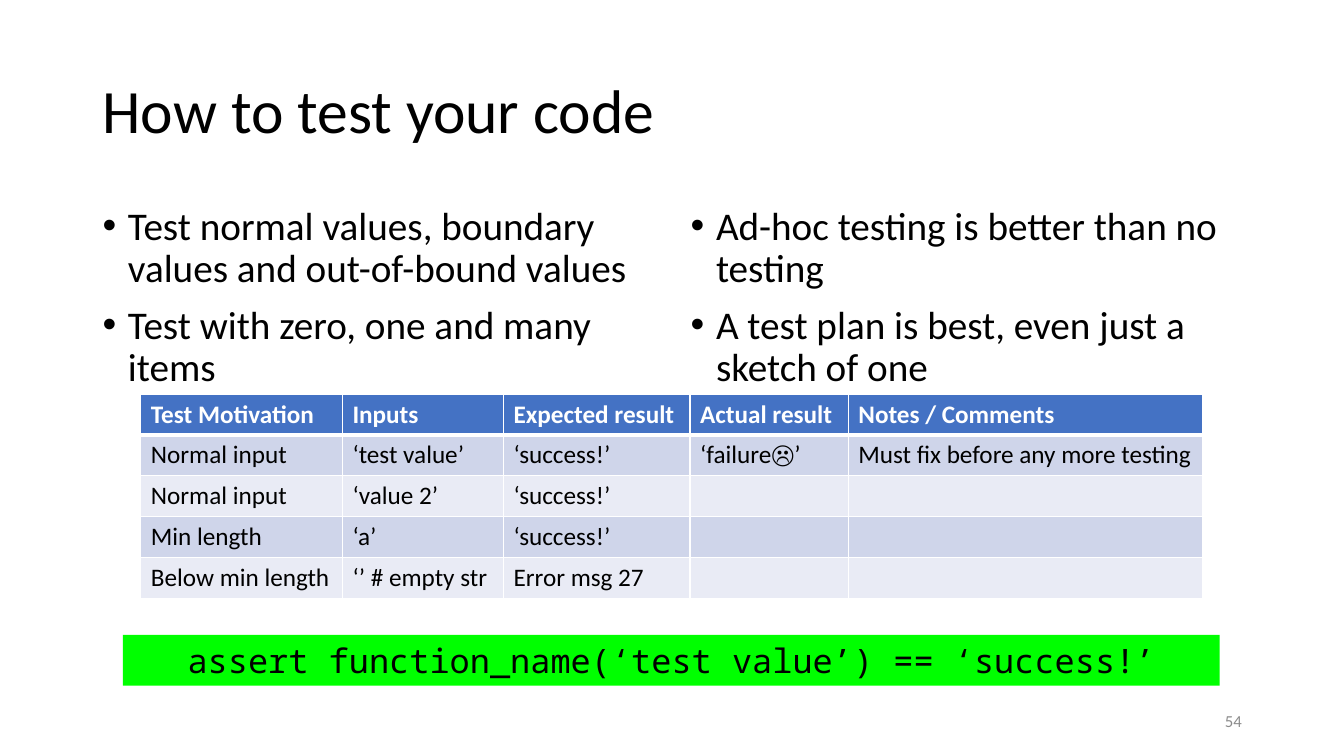
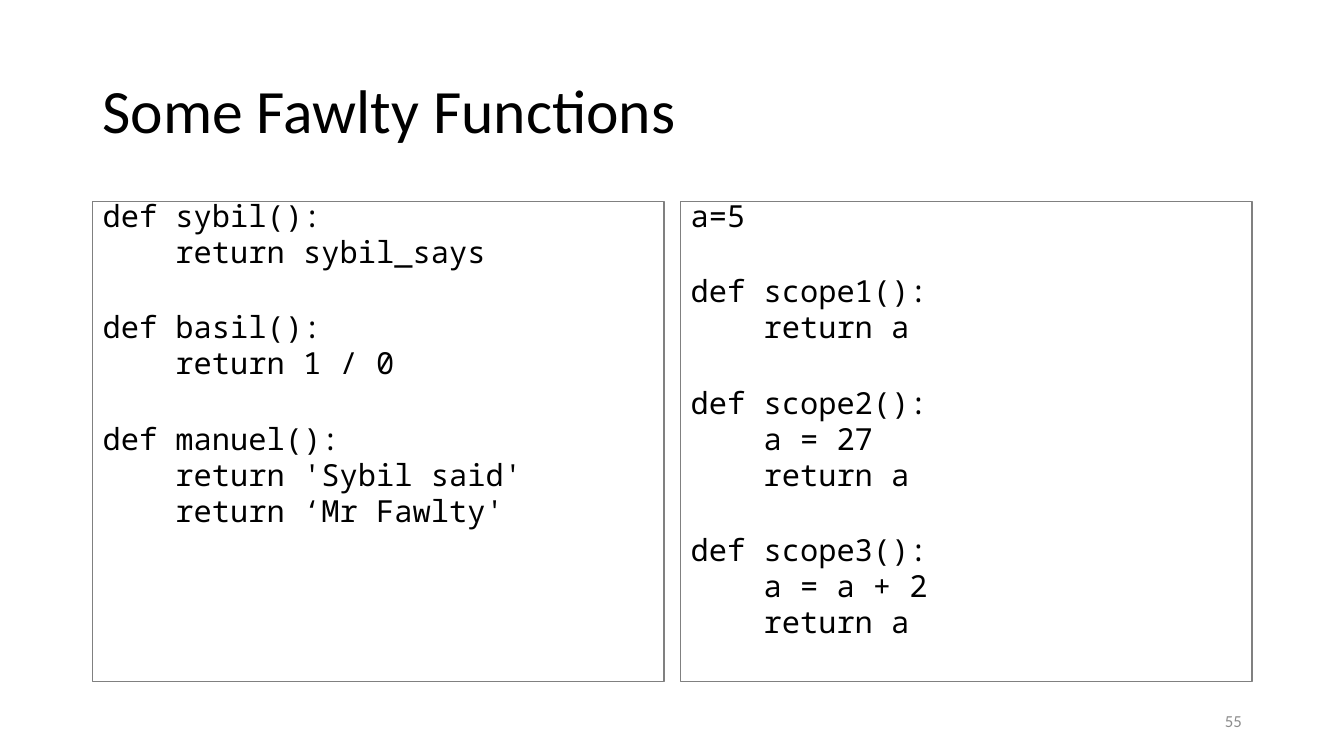
"""Build two teaching slides about testing code and faulty functions."""
from dataclasses import dataclass

from lxml.etree import SubElement
from pptx import Presentation
from pptx.dml.color import RGBColor
from pptx.enum.shapes import MSO_SHAPE
from pptx.enum.text import MSO_ANCHOR, MSO_AUTO_SIZE, PP_ALIGN
from pptx.oxml.ns import qn
from pptx.util import Cm, Pt


@dataclass(frozen=True)
class Theme:
    text_font: str = "Calibri"
    code_font: str = "Noto Sans Mono"
    black: RGBColor = RGBColor(0x00, 0x00, 0x00)
    white: RGBColor = RGBColor(0xFF, 0xFF, 0xFF)
    number_grey: RGBColor = RGBColor(0x8C, 0x8C, 0x8C)
    frame_grey: RGBColor = RGBColor(0x80, 0x80, 0x80)
    header_blue: RGBColor = RGBColor(0x44, 0x72, 0xC4)
    row_dark: RGBColor = RGBColor(0xCF, 0xD5, 0xEA)
    row_light: RGBColor = RGBColor(0xE9, 0xEB, 0xF5)
    assert_green: RGBColor = RGBColor(0x00, 0xFF, 0x00)
    title_size: float = 44
    bullet_size: float = 28
    assert_size: float = 24
    code_size: float = 21.7
    table_size: float = 18
    number_size: float = 12


theme = Theme()


def add_text(paragraph, text, size, font=theme.text_font, color=theme.black, bold=False):
    run = paragraph.add_run()
    run.text = text
    run.font.name = font
    run.font.size = Pt(size)
    run.font.color.rgb = color
    run.font.bold = bold


def add_border(cell, side, width):
    properties = cell._tc.get_or_add_tcPr()
    line = SubElement(properties, qn(f"a:{side}"), w=str(Pt(width)))
    fill = SubElement(line, qn("a:solidFill"))
    SubElement(fill, qn("a:srgbClr"), val=str(theme.white))


bullet_columns = [
    [
        "Test normal values, boundary values and out-of-bound values",
        "Test with zero, one and many items",
    ],
    [
        "Ad-hoc testing is better than no testing",
        "A test plan is best, even just a sketch of one",
    ],
]
code_columns = [
    [
        ["def sybil():", "    return sybil_says"],
        ["def basil():", "    return 1 / 0"],
        ["def manuel():", "    return 'Sybil said'", "    return ‘Mr Fawlty'"],
    ],
    [
        ["a=5"],
        ["def scope1():", "    return a"],
        ["def scope2():", "    a = 27", "    return a"],
        ["def scope3():", "    a = a + 2", "    return a"],
    ],
]
test_plan = [
    ["Test Motivation", "Inputs", "Expected result", "Actual result", "Notes / Comments"],
    ["Normal input", "‘test value’", "‘success!’", "‘failure☹’", "Must fix before any more testing"],
    ["Normal input", "‘value 2’", "‘success!’", "", ""],
    ["Min length", "‘a’", "‘success!’", "", ""],
    ["Below min length", "‘’ # empty str", "Error msg 27", "", ""],
]
column_widths = [5.08, 4.06, 4.7, 3.99, 8.94]
row_height = 1.03
left_margin = 2.33
column_step = 14.82
line_gap = 7.5
block_gap = 35.7

presentation = Presentation()
presentation.slide_width = Cm(33.87)
presentation.slide_height = Cm(19.05)
two_content = presentation.slide_layouts.get_by_name("Two Content")

slides = []
for number, heading in [(54, "How to test your code"), (55, "Some Fawlty Functions")]:
    slide = presentation.slides.add_slide(two_content)
    slides.append(slide)

    title = slide.shapes.title
    title.left, title.top, title.width, title.height = Cm(left_margin), Cm(1.02), Cm(29.21), Cm(3.68)
    title.text_frame.auto_size = MSO_AUTO_SIZE.NONE
    title.text_frame.vertical_anchor = MSO_ANCHOR.MIDDLE
    paragraph = title.text_frame.paragraphs[0]
    paragraph.alignment = PP_ALIGN.LEFT
    paragraph.line_spacing = 0.9
    add_text(paragraph, heading, theme.title_size)

    for column in range(2):
        body = slide.placeholders[column + 1]
        body.left, body.top = Cm(left_margin + column * column_step), Cm(5.08)
        body.width, body.height = Cm(14.4), Cm(12.09)
        body.text_frame.auto_size = MSO_AUTO_SIZE.NONE
        body.text_frame.vertical_anchor = MSO_ANCHOR.TOP

    number_box = slide.shapes.add_textbox(Cm(23.93), Cm(17.65), Cm(7.62), Cm(1.01))
    number_box.text_frame.word_wrap = True
    number_box.text_frame.vertical_anchor = MSO_ANCHOR.MIDDLE
    paragraph = number_box.text_frame.paragraphs[0]
    paragraph.alignment = PP_ALIGN.RIGHT
    add_text(paragraph, str(number), theme.number_size, color=theme.number_grey)

testing_slide, functions_slide = slides

for column, bullets in enumerate(bullet_columns):
    text_frame = testing_slide.placeholders[column + 1].text_frame
    for index, bullet in enumerate(bullets):
        paragraph = text_frame.add_paragraph() if index else text_frame.paragraphs[0]
        properties = paragraph._p.get_or_add_pPr()
        properties.set("marL", str(Cm(0.64)))
        properties.set("indent", str(-Cm(0.64)))
        SubElement(properties, qn("a:buFont"), typeface="Arial")
        SubElement(properties, qn("a:buChar"), char="•")
        paragraph.line_spacing = 0.9
        paragraph.space_before = Pt(10 if index else 0)
        add_text(paragraph, bullet, theme.bullet_size)

table_frame = testing_slide.shapes.add_table(
    len(test_plan), len(column_widths), Cm(3.55), Cm(9.93),
    Cm(sum(column_widths)), Cm(row_height * len(test_plan)),
)
table = table_frame.table
for column, width in zip(table.columns, column_widths):
    column.width = Cm(width)
for row_index, values in enumerate(test_plan):
    table.rows[row_index].height = Cm(row_height)
    is_header = row_index == 0
    row_fill = theme.row_dark if row_index % 2 else theme.row_light
    for column_index, value in enumerate(values):
        cell = table.cell(row_index, column_index)
        add_border(cell, "lnL", 1)
        add_border(cell, "lnR", 1)
        add_border(cell, "lnT", 3 if row_index == 1 else 1)
        add_border(cell, "lnB", 3 if is_header else 1)
        cell.fill.solid()
        cell.fill.fore_color.rgb = theme.header_blue if is_header else row_fill
        if value:
            add_text(
                cell.text_frame.paragraphs[0], value, theme.table_size,
                color=theme.white if is_header else theme.black, bold=is_header,
            )

assert_band = testing_slide.shapes.add_shape(
    MSO_SHAPE.RECTANGLE, Cm(3.1), Cm(16), Cm(27.64), Cm(1.28)
)
assert_band.shadow.inherit = False
assert_band.fill.solid()
assert_band.fill.fore_color.rgb = theme.assert_green
assert_band.line.fill.background()
assert_band.text_frame.word_wrap = True
assert_band.text_frame.vertical_anchor = MSO_ANCHOR.MIDDLE
paragraph = assert_band.text_frame.paragraphs[0]
paragraph.alignment = PP_ALIGN.CENTER
add_text(
    paragraph, "assert function_name(‘test value’) == ‘success!’",
    theme.assert_size, font=theme.code_font,
)

for column, blocks in enumerate(code_columns):
    body = functions_slide.placeholders[column + 1]
    body.line.color.rgb = theme.frame_grey
    body.line.width = Pt(1)
    for block_index, block in enumerate(blocks):
        for line_index, code_line in enumerate(block):
            is_first = block_index == line_index == 0
            text_frame = body.text_frame
            paragraph = text_frame.paragraphs[0] if is_first else text_frame.add_paragraph()
            properties = paragraph._p.get_or_add_pPr()
            properties.set("marL", "0")
            properties.set("indent", "0")
            SubElement(properties, qn("a:buNone"))
            paragraph.line_spacing = 0.7
            gap = line_gap if line_index else block_gap
            paragraph.space_before = Pt(0 if is_first else gap)
            add_text(paragraph, code_line, theme.code_size, font=theme.code_font)

presentation.save("out.pptx")
